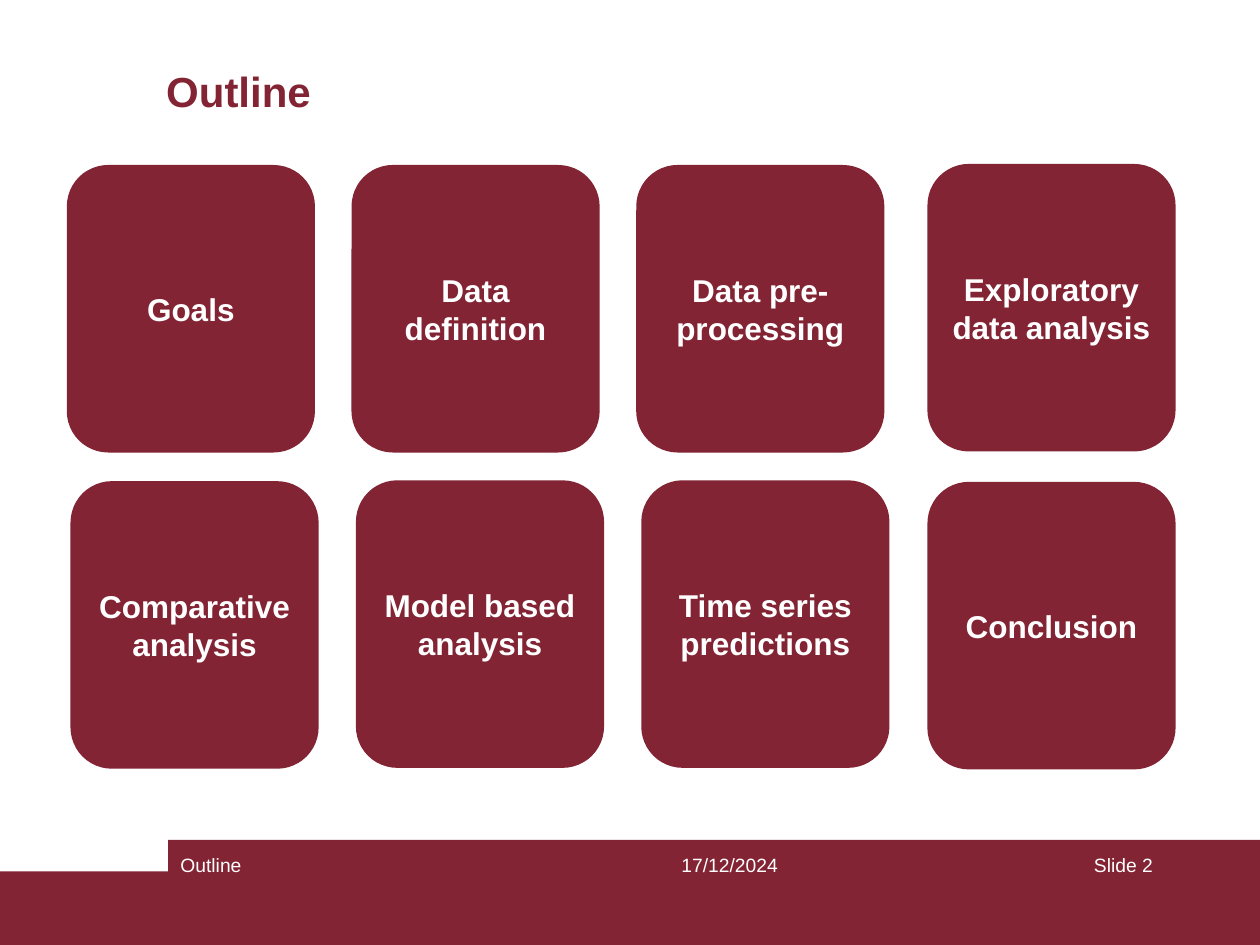
from dataclasses import dataclass

import pptx
import pptx.dml.color
import pptx.enum.shapes
import pptx.enum.text
import pptx.util

Pt = pptx.util.Pt
RGB = pptx.dml.color.RGBColor
Kind = pptx.enum.shapes.MSO_SHAPE
Align = pptx.enum.text.PP_ALIGN
Anchor = pptx.enum.text.MSO_ANCHOR


@dataclass(frozen=True)
class Theme:
    font: str = "Arial"
    red: RGB = RGB(0x82, 0x24, 0x33)
    white: RGB = RGB(0xFF, 0xFF, 0xFF)
    title: int = 24
    card: int = 18
    foot: int = 11


theme = Theme()


def write(shape, text, size, color=theme.white, bold=False,
          align=Align.LEFT, anchor=Anchor.TOP):
    frame = shape.text_frame
    frame.word_wrap = True
    frame.auto_size = pptx.enum.text.MSO_AUTO_SIZE.NONE
    frame.vertical_anchor = anchor
    frame.margin_left = frame.margin_right = Pt(7.2)
    frame.margin_top = frame.margin_bottom = Pt(3.6)
    para = frame.paragraphs[0]
    para.alignment = align
    run = para.add_run()
    run.text = text
    run.font.name = theme.font
    run.font.size = Pt(size)
    run.font.bold = bold
    run.font.color.rgb = color


def block(kind, left, top, width, height):
    shape = slide.shapes.add_shape(kind, Pt(left), Pt(top), Pt(width), Pt(height))
    shape.shadow.inherit = False
    shape.fill.solid()
    shape.fill.fore_color.rgb = theme.red
    shape.line.fill.background()
    return shape


deck = pptx.Presentation()
deck.slide_width, deck.slide_height = Pt(720), Pt(540)
slide = deck.slides.add_slide(deck.slide_layouts[5])

title = slide.shapes.title
title.left, title.top, title.width, title.height = Pt(87.8), Pt(31.7), Pt(584), Pt(40.3)
write(title, "Outline", theme.title, color=theme.red, bold=True, anchor=Anchor.MIDDLE)

for left, top in [(0, 498), (96, 480)]:
    block(Kind.RECTANGLE, left, top, 720 - left, 540 - top)

cards = [
    ("Goals", 38.2, 94.3),
    ("Data definition", 200.9, 94.3),
    ("Data pre-processing", 363.6, 94.3),
    ("Exploratory data analysis", 530, 93.7),
    ("Comparative analysis", 40.3, 275),
    ("Model based analysis", 203.4, 274.5),
    ("Time series predictions", 366.5, 274.5),
    ("Conclusion", 530, 275.4),
]
for text, left, top in cards:
    card = block(Kind.ROUNDED_RECTANGLE, left, top, 141.8, 164.3)
    write(card, text, theme.card, bold=True, align=Align.CENTER, anchor=Anchor.MIDDLE)

feet = [
    ("Outline", 96, 228, Align.LEFT),
    ("17/12/2024", 342, 150, Align.CENTER),
    ("Slide 2", 516, 150, Align.RIGHT),
]
for text, left, width, align in feet:
    box = slide.shapes.add_textbox(Pt(left), Pt(484), Pt(width), Pt(36))
    write(box, text, theme.foot, align=align)

deck.save("out.pptx")
